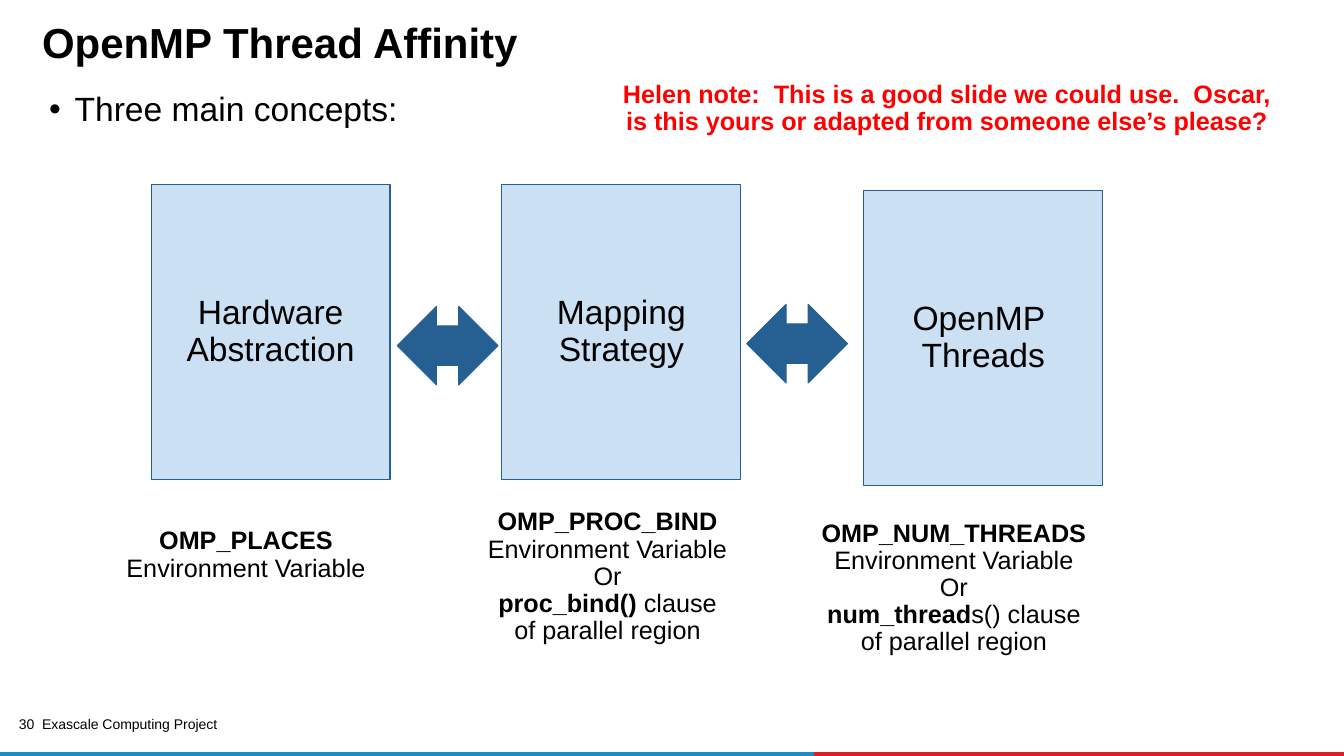
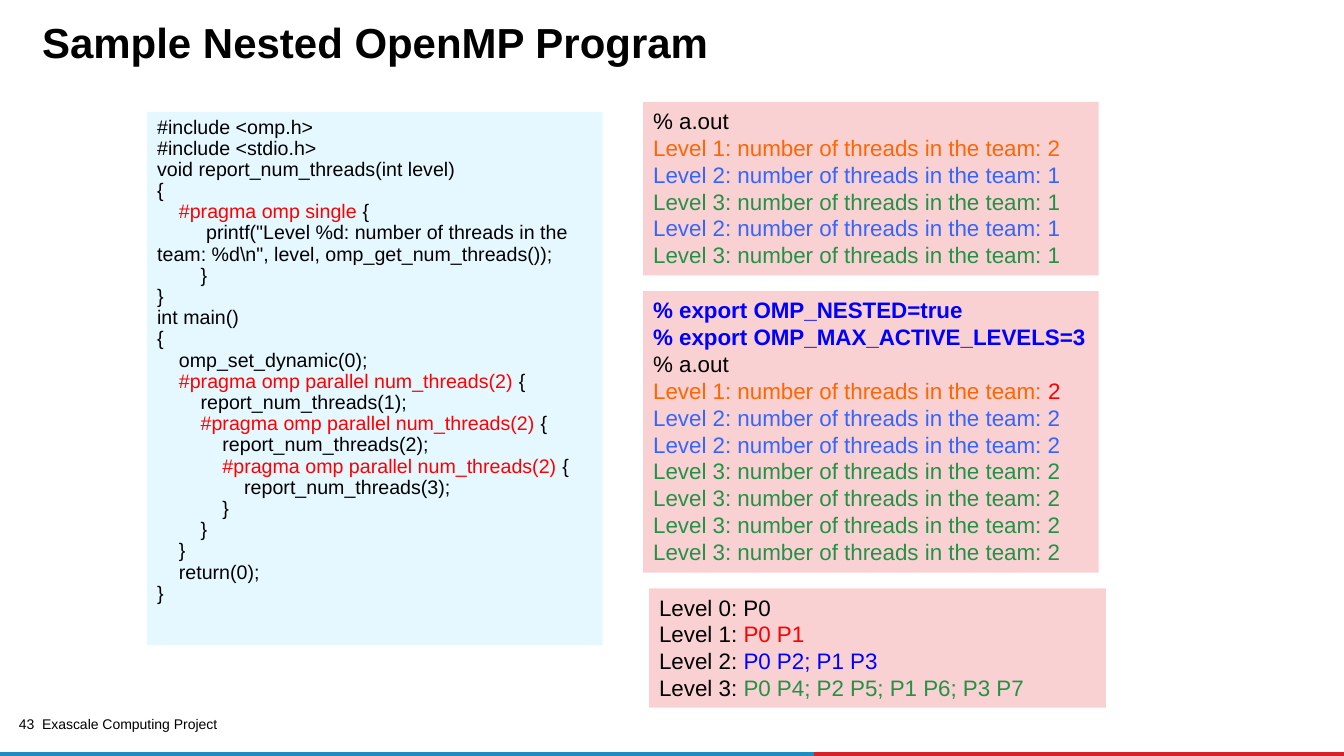
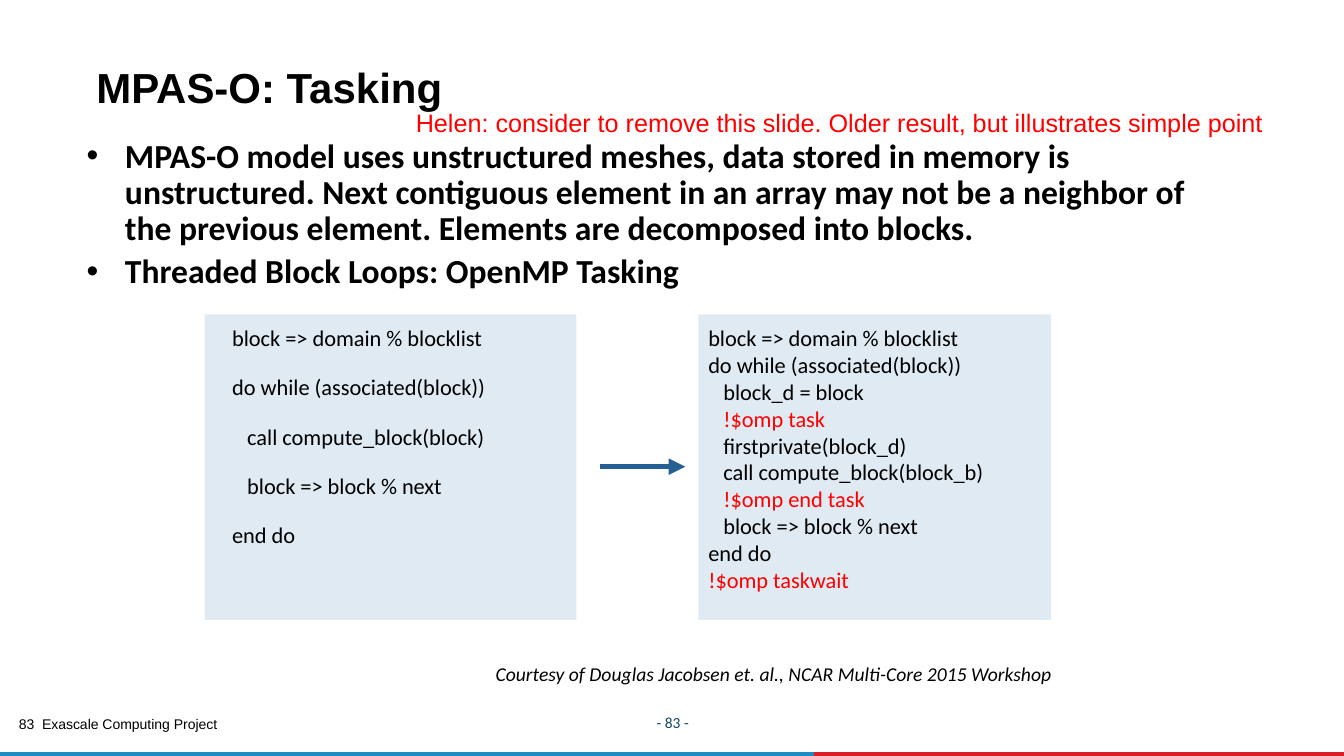
from lxml.etree import SubElement
from pptx import Presentation
from pptx.dml.color import RGBColor
from pptx.enum.shapes import MSO_CONNECTOR, MSO_SHAPE
from pptx.enum.text import MSO_ANCHOR, MSO_AUTO_SIZE, PP_ALIGN
from pptx.oxml.ns import qn
from pptx.util import Cm, Pt

rgb = RGBColor.from_string
BLACK, RED, BLUE = "000000", "FF0000", "0000FF"
NAVY, SKY, CRIMSON = "266092", "1B8DC3", "DA1F28"
CARD, CODE, OUTPUT, FORTRAN = "CBE0F2", "E6F8FF", "F9D1D3", "DFEAF2"
LEVELS = {1: "FF6600", 2: "3366FF", 3: "229246"}
LEFT, CENTER, RIGHT = PP_ALIGN.LEFT, PP_ALIGN.CENTER, PP_ALIGN.RIGHT
TOP, MIDDLE, BOTTOM = MSO_ANCHOR.TOP, MSO_ANCHOR.MIDDLE, MSO_ANCHOR.BOTTOM


def write(sp, lines, size=18, font="Arial", color=BLACK, bold=False, italic=False,
          align=LEFT, anchor=TOP, spacing=1.0, before=0, margins=(0.25, 0.13),
          indent=(0, 0), bullet=None, wrap=True):
    tf = sp.text_frame
    tf.auto_size = MSO_AUTO_SIZE.NONE
    tf.word_wrap = wrap
    tf.vertical_anchor = anchor
    tf.margin_left = tf.margin_right = Cm(margins[0])
    tf.margin_top = tf.margin_bottom = Cm(margins[1])
    for i, line in enumerate(lines):
        p = tf.add_paragraph() if i else tf.paragraphs[0]
        p.alignment = align
        p.line_spacing = spacing
        p.space_before = Pt(before if i else 0)
        p.space_after = Pt(0)
        pPr = p._p.get_or_add_pPr()
        pPr.set("marL", str(Cm(indent[0])))
        pPr.set("indent", str(Cm(indent[1])))
        if bullet:
            SubElement(SubElement(pPr, qn("a:buClr")), qn("a:srgbClr"), val=BLACK)
            SubElement(pPr, qn("a:buFont"), typeface="Arial")
            SubElement(pPr, qn("a:buChar"), char=bullet)
        else:
            SubElement(pPr, qn("a:buNone"))
        for run in [line] if isinstance(line, str) else line:
            text, own = (run, {}) if isinstance(run, str) else run
            r = p.add_run()
            r.text = text
            r.font.name = font
            r.font.size = Pt(size)
            r.font.italic = italic
            r.font.bold = own.get("bold", bold)
            r.font.color.rgb = rgb(own.get("color", color))


def box(s, at, fill=None, line=None, shape=MSO_SHAPE.RECTANGLE):
    at = [Cm(v) for v in at]
    if fill is None:
        return s.shapes.add_textbox(*at)
    sp = s.shapes.add_shape(shape, *at)
    sp.shadow.inherit = False
    sp.fill.solid()
    sp.fill.fore_color.rgb = rgb(fill)
    if line:
        sp.line.color.rgb = rgb(line)
        sp.line.width = Pt(0.75)
    else:
        sp.line.fill.background()
    return sp


prs = Presentation()
prs.slide_width, prs.slide_height = Cm(33.87), Cm(19.05)

pages = [
    ("30", "OpenMP Thread Affinity", (0.81, 0.48, 31.6, 1.37), (0.99, 2.21, 31.65, 11.66)),
    ("43", "Sample Nested OpenMP Program", (0.81, 0.48, 31.6, 1.37), (3.71, 2.82, 11.48, 13.44)),
    ("83", "MPAS-O: Tasking", (2.18, 0.69, 18.95, 2.13), (1.93, 3.38, 29.21, 13.41)),
]
slides = []
for number, title, title_at, body_at in pages:
    s = prs.slides.add_slide(prs.slide_layouts[1])
    slides.append(s)
    for sp, at in zip(s.placeholders, (title_at, body_at)):
        sp.left, sp.top, sp.width, sp.height = [Cm(v) for v in at]
    low = number == "83"
    write(s.shapes.title, [title], size=30, bold=True, spacing=0.85,
          anchor=BOTTOM if low else TOP, margins=(0.25, 0 if low else 0.13))
    write(box(s, (0.08, 18.08, 0.79, 0.43)), [number], size=10, align=RIGHT,
          spacing=0.9, margins=(0, 0))
    write(box(s, (0.81, 17.98, 10.72, 0.51)), ["Exascale Computing Project"],
          size=10, anchor=MIDDLE)
    box(s, (20.47, 18.97, 13.46, 0.08), CRIMSON, CRIMSON)
    box(s, (-0.03, 18.97, 20.52, 0.08), SKY, SKY)

affinity, nested, tasking = slides

s = affinity
write(s.placeholders[1], ["Three main concepts:"], size=24, spacing=0.9,
      indent=(0.64, -0.64), bullet="•")
cards = [
    (3.81, 4.65, ["Hardware", "Abstraction"]),
    (12.65, 4.65, ["Mapping Strategy"]),
    (21.77, 4.8, ["OpenMP ", "Threads"]),
]
for x, y, lines in cards:
    write(box(s, (x, y, 6.02, 7.44), CARD, NAVY), lines, size=24, align=CENTER,
          anchor=MIDDLE, spacing=0.9, margins=(0.13, 0.13))
for x, y in [(10.01, 7.72), (18.82, 7.67)]:
    box(s, (x, y, 2.54, 1.98), NAVY, NAVY, MSO_SHAPE.LEFT_RIGHT_ARROW)
strong = {"bold": True}
variable, region = "Environment Variable", "of parallel region"
settings = [
    ((2.9, 13.18, 6.6, 1.65), [[("OMP_PLACES", strong)], variable]),
    ((12.01, 12.7, 6.6, 5.11), [[("OMP_PROC_BIND", strong)], variable, "Or",
                                [("proc_bind()", strong), " clause"], region]),
    ((20.42, 12.98, 7.24, 4.42), [[("OMP_NUM_THREADS", strong)], variable, "Or",
                                  [("num_thread", strong), "s() clause"], region]),
]
for at, lines in settings:
    write(box(s, at), lines, align=CENTER, spacing=0.9, wrap=False)
write(box(s, (15.32, 1.93, 17.09, 1.65)),
      ["Helen note:  This is a good slide we could use.  Oscar, "
       "is this yours or adapted from someone else’s please?"],
      color=RED, bold=True, align=CENTER, spacing=0.9)

s = nested
program = r'''#include <omp.h>
#include <stdio.h>
void report_num_threads(int level)
{
    #pragma omp single {
         printf("Level %d: number of threads in the team: %d\n", level, omp_get_num_threads());
        }
}
int main()
{
    omp_set_dynamic(0);
    #pragma omp parallel num_threads(2) {
        report_num_threads(1);
        #pragma omp parallel num_threads(2) {
            report_num_threads(2);
            #pragma omp parallel num_threads(2) {
                report_num_threads(3);
            }
        }
    }
    return(0);
}'''
lines = [[(line[:-1], {"color": RED}), "{"] if "#pragma" in line else line
         for line in program.splitlines()]
sp = s.placeholders[1]
sp.fill.solid()
sp.fill.fore_color.rgb = rgb(CODE)
write(sp, lines, size=14, spacing=0.9)

team = "Level {}: number of threads in the team: "
serial = [[(team.format(n) + ("2" if n == 1 else "1"), {"color": LEVELS[n]})]
          for n in (1, 2, 3, 2, 3)]
parallel = [[(team.format(n), {"color": LEVELS[n]}),
             ("2", {"color": RED if n == 1 else LEVELS[n]})]
            for n in (1, 2, 2, 3, 3, 3, 3)]
exports = [[(line, {"bold": True, "color": BLUE})]
           for line in ("% export OMP_NESTED=true", "% export OMP_MAX_ACTIVE_LEVELS=3")]
members = [("P0", BLACK), ("P0 P1", RED), ("P0 P2; P1 P3", BLUE),
           ("P0 P4; P2 P5; P1 P6; P3 P7", LEVELS[3])]
placement = [[f"Level {n}: ", (text, {"color": color})]
             for n, (text, color) in enumerate(members)]
outputs = [
    ((16.21, 2.57, 11.48, 4.37), ["% a.out"] + serial),
    ((16.21, 7.34, 11.48, 7.09), exports + ["% a.out"] + parallel),
    ((16.36, 14.83, 11.51, 3), placement),
]
for at, lines in outputs:
    write(box(s, at, OUTPUT), lines, size=16)

s = tasking
write(s.placeholders[1],
      ["MPAS-O model uses unstructured meshes, data stored in memory is unstructured. "
       "Next contiguous element in an array may not be a neighbor of the previous element. "
       "Elements are decomposed into blocks.",
       "Threaded Block Loops: OpenMP Tasking"],
      size=24, font="Calibri", bold=True, spacing=0.9, before=4.8,
      indent=(0.97, -0.97), bullet="•")
write(box(s, (15.67, 17.7, 2.57, 1.02)), ["- 83 -"], size=11, font="Calibri",
      color="114766", align=CENTER, anchor=MIDDLE)
serial_loop = '''block => domain % blocklist
do while (associated(block))
   call compute_block(block)
   block => block % next
end do'''
task_loop = '''block => domain % blocklist
do while (associated(block))
   block_d = block
   !$omp task
   firstprivate(block_d)
   call compute_block(block_b)
   !$omp end task
   block => block % next
end do
!$omp taskwait'''
loops = [
    (5.16, 9.37, serial_loop, 16, (0.97, -0.53)),
    (17.6, 8.89, task_loop, 0, (0, 0)),
]
for x, width, code, before, indent in loops:
    lines = [[(line, {"color": RED if "!$omp" in line else BLACK})]
             for line in code.splitlines()]
    write(box(s, (x, 7.92, width, 7.7), FORTRAN), lines, size=16, font="Calibri",
          before=before, indent=indent, margins=(0.25, 0.25))

arrow = s.shapes.add_connector(MSO_CONNECTOR.STRAIGHT, Cm(15.11), Cm(11.76), Cm(17.27), Cm(11.76))
arrow.line.color.rgb = rgb(NAVY)
arrow.line.width = Pt(4)
SubElement(arrow.line._get_or_add_ln(), qn("a:tailEnd"), type="triangle")
SubElement(arrow._element.spPr, qn("a:effectLst"))

write(box(s, (12.24, 16.54, 14.81, 0.86)),
      ["Courtesy of Douglas Jacobsen et. al., NCAR Multi-Core 2015 Workshop"],
      size=14, font="Calibri", italic=True)
write(box(s, (10.21, 2.67, 21.89, 0.94)),
      ["Helen: consider to remove this slide. Older result, but illustrates simple point"],
      color=RED, align=CENTER, spacing=0.9, wrap=False)

prs.save("out.pptx")
